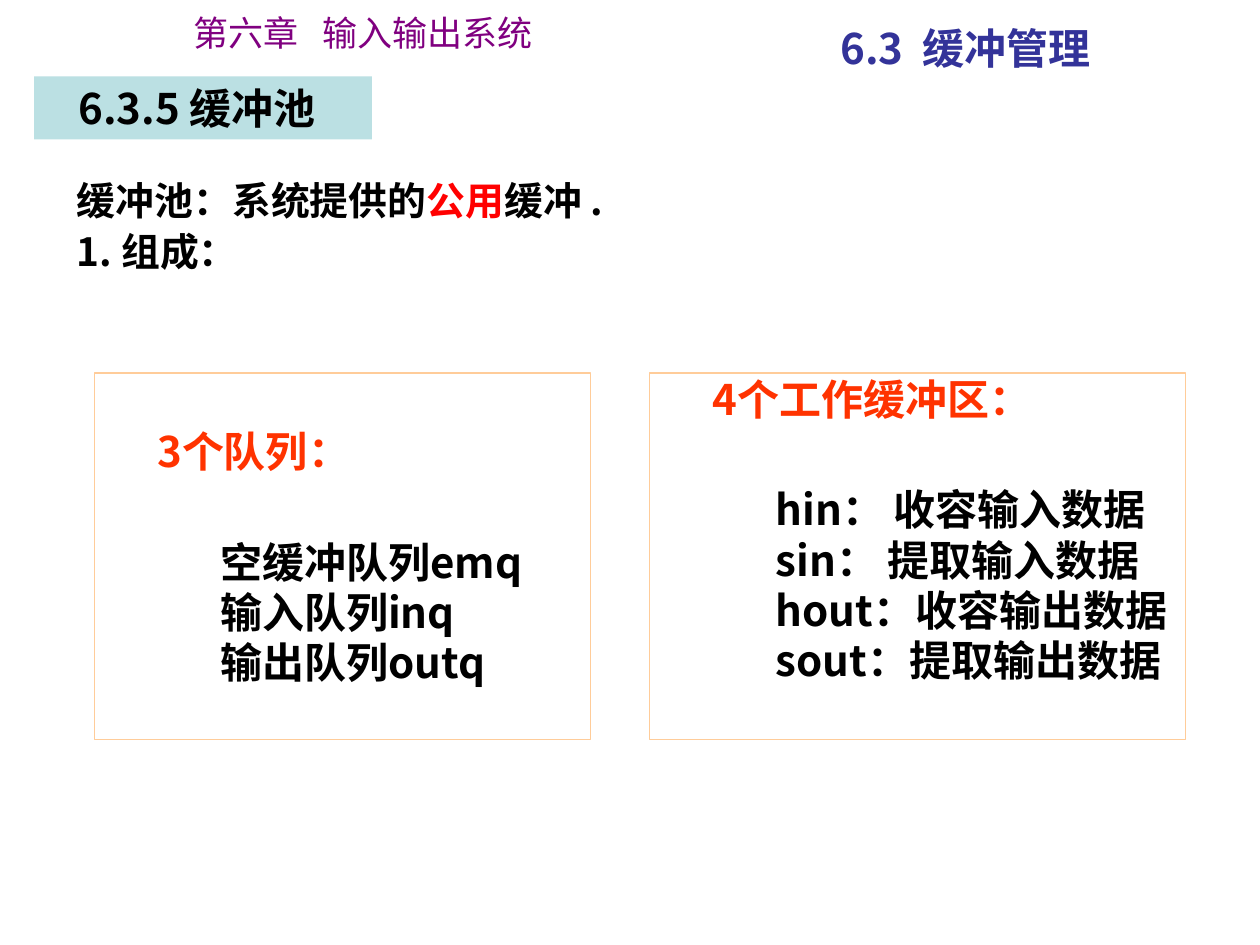
from dataclasses import dataclass
from pptx import Presentation
from pptx.dml.color import RGBColor
from pptx.enum import shapes, text
from pptx.oxml import ns
from pptx.util import Cm, Pt


@dataclass(frozen=True)
class Theme:
    font: str = "Noto Sans CJK SC"
    black: str = "000000"
    purple: str = "800080"
    indigo: str = "333399"
    red: str = "FF0000"
    orange: str = "FF3300"
    border: str = "FFCC99"
    band: str = "BBE0E3"
    chapter: float = 20
    body: float = 22.2
    heading: float = 24


theme = Theme()


def add_box(left, top, width, height, fill=None, line=None, margins=(0, 0),
            anchor=text.MSO_ANCHOR.TOP, wrap=True):
    shape = slide.shapes.add_shape(shapes.MSO_SHAPE.RECTANGLE,
                                   Cm(left), Cm(top), Cm(width), Cm(height))
    shape.shadow.inherit = False
    for part, color in ((shape.fill, fill), (shape.line.fill, line)):
        if color:
            part.solid()
            part.fore_color.rgb = RGBColor.from_string(color)
        else:
            part.background()
    if line:
        shape.line.width = Pt(0.75)
    frame = shape.text_frame
    frame.margin_left = frame.margin_right = Cm(margins[0])
    frame.margin_top = frame.margin_bottom = Cm(margins[1])
    frame.vertical_anchor = anchor
    frame.word_wrap = wrap
    return frame


def write(paragraph, runs, size, bold=True, indent=0, hanging=0, spacing=1.0):
    paragraph.alignment = text.PP_ALIGN.LEFT
    paragraph.line_spacing = spacing
    properties = paragraph._p.get_or_add_pPr()
    properties.set("marL", str(Cm(indent)))
    properties.set("indent", str(-Cm(hanging)))
    for words, color in runs:
        run = paragraph.add_run()
        run.text = words
        run.font.size = Pt(size)
        run.font.bold = bold
        run.font.name = theme.font
        run.font.color.rgb = RGBColor.from_string(color)
        east_asian = run._r.get_or_add_rPr().makeelement(
            ns.qn("a:ea"), {"typeface": theme.font})
        run.font._element.find(ns.qn("a:latin")).addnext(east_asian)


presentation = Presentation()
presentation.slide_width, presentation.slide_height = Cm(25.4), Cm(19.05)
slide = presentation.slides.add_slide(presentation.slide_layouts[6])
padding = (0.25, 0.13)

# Chapter title, section title and topic band
titles = [
    ("第六章   输入输出系统", theme.purple, theme.chapter, False, None, (3.66, 0.1, 7.34, 1.12)),
    ("6.3  缓冲管理", theme.indigo, theme.heading, True, None, (16.69, 0.33, 7.39, 1.27)),
    ("6.3.5 缓冲池", theme.black, theme.heading, True, theme.band, (0.69, 1.54, 6.81, 1.27)),
]
for words, color, size, bold, fill, place in titles:
    frame = add_box(*place, fill=fill, margins=padding,
                    anchor=text.MSO_ANCHOR.MIDDLE, wrap=bold)
    # The band's label starts further in than the plain titles
    write(frame.paragraphs[0], [(words, color)], size, bold,
          indent=0.64 if fill else 0)

# Definition
frame = add_box(1.3, 3.33, 21, 2.59, margins=padding)
definition = [
    [("缓冲池：系统提供的", theme.black), ("公用", theme.red), ("缓冲 .", theme.black)],
    [("1. 组成：", theme.black)],
]
for index, runs in enumerate(definition):
    paragraph = frame.add_paragraph() if index else frame.paragraphs[0]
    write(paragraph, runs, theme.body, indent=0.97, hanging=0.97, spacing=1.1)

# Queues and working buffers
panels = [
    (1.9, 10, text.MSO_ANCHOR.MIDDLE, True, "3个队列：",
     ["空缓冲队列emq", "输入队列inq", "输出队列outq"]),
    (13.1, 10.8, text.MSO_ANCHOR.TOP, False, "4个工作缓冲区：",
     ["hin： 收容输入数据", "sin： 提取输入数据", "hout：收容输出数据", "sout：提取输出数据"]),
]
for left, width, anchor, wrap, heading, items in panels:
    frame = add_box(left, 7.52, width, 7.39, line=theme.border, anchor=anchor, wrap=wrap)
    write(frame.paragraphs[0], [(heading, theme.orange)], theme.heading, indent=1.27)
    frame.paragraphs[0].space_after = Pt(34.5)
    for item in items:
        write(frame.add_paragraph(), [(item, theme.black)], theme.heading, indent=2.54)

presentation.save("out.pptx")
